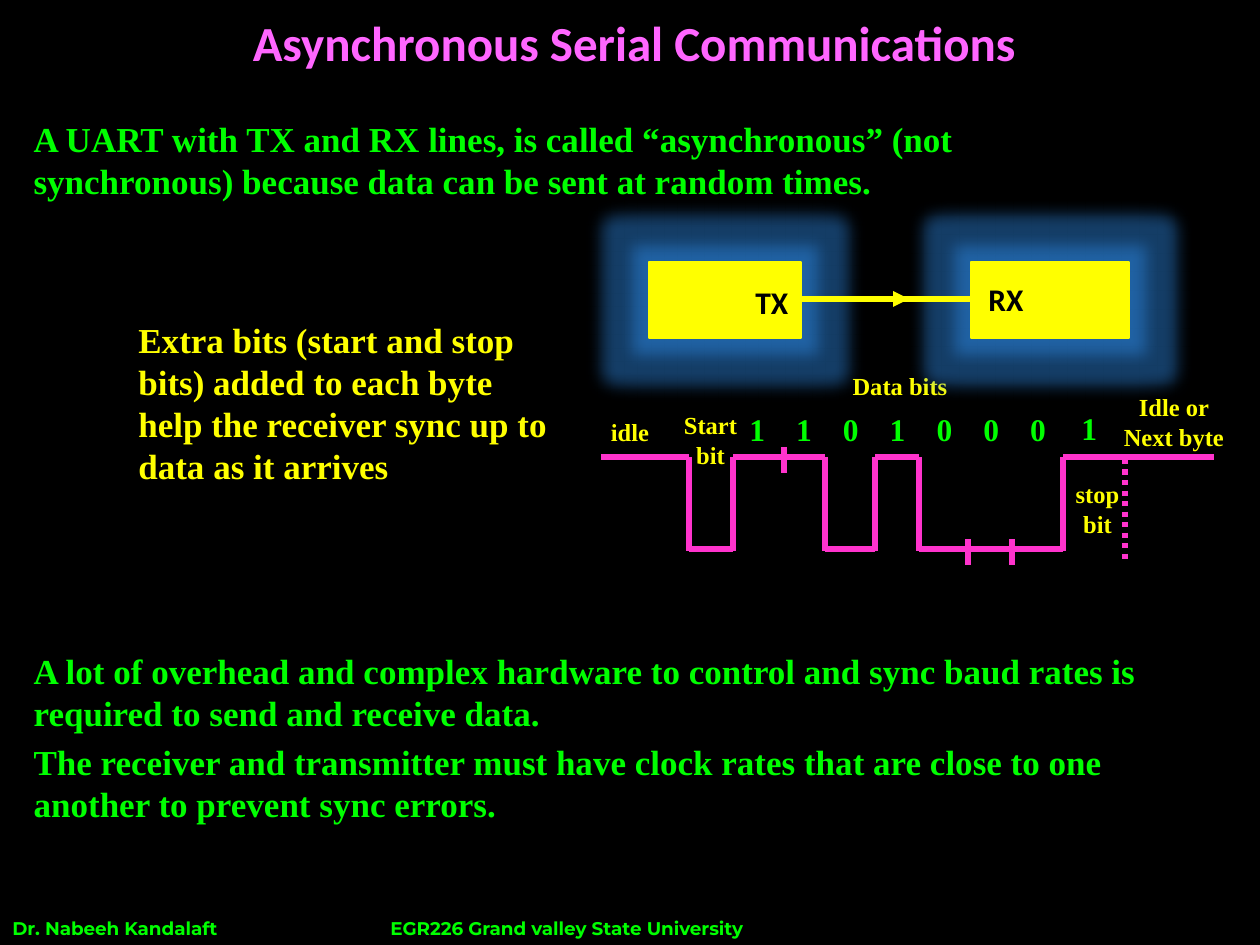
from lxml import etree
from pptx import Presentation
from pptx.dml.color import RGBColor
from pptx.enum.dml import MSO_LINE
from pptx.enum.shapes import MSO_CONNECTOR, MSO_SHAPE
from pptx.enum.text import MSO_ANCHOR, MSO_AUTO_SIZE, PP_ALIGN
from pptx.oxml.ns import qn
from pptx.util import Emu, Pt

SCALE = 914400 / 126
STRAIGHT, RECTANGLE = MSO_CONNECTOR.STRAIGHT, MSO_SHAPE.RECTANGLE
LEFT, CENTER = PP_ALIGN.LEFT, PP_ALIGN.CENTER
TOP, MIDDLE = MSO_ANCHOR.TOP, MSO_ANCHOR.MIDDLE
DOTTED = MSO_LINE.ROUND_DOT
COLORS = {"black": "000000", "pink": "FF66FF", "green": "00FF00",
          "yellow": "FFFF00", "signal": "FF33CC", "glow": "3399FF"}
SERIF = "Times New Roman"
TITLE = {"name": "Calibri", "size": Pt(28), "bold": True}
BODY = {"name": SERIF, "size": Pt(20), "bold": True}
BIT = {"name": SERIF, "size": Pt(18), "bold": True}
LABEL = {"name": SERIF, "size": Pt(14), "bold": True}
PIN = {"name": "Calibri", "size": Pt(18), "bold": True}
FOOTER = {"name": "Montserrat", "size": Pt(10.5), "bold": True}


def px(value):
    return Emu(round(value * SCALE))


def color(name):
    return RGBColor.from_string(COLORS[name])


def place(shape, box):
    for name, value in zip(("left", "top", "width", "height"), box):
        setattr(shape, name, px(value))


def write(shape, lines, style, color_name, align=LEFT, anchor=TOP, wrap=True):
    frame = shape.text_frame
    frame.text = "\n".join(lines)
    frame.word_wrap, frame.auto_size = wrap, MSO_AUTO_SIZE.NONE
    frame.vertical_anchor = anchor
    for paragraph in frame.paragraphs:
        paragraph.alignment = align
        for name, value in style.items():
            setattr(paragraph.font, name, value)
        paragraph.font.color.rgb = color(color_name)
    return frame


def add_text(slide, box, lines, style, color_name, **options):
    shape = slide.shapes.add_textbox(*map(px, box))
    write(shape, lines, style, color_name, **options)


def add_line(slide, start, end, color_name):
    connector = slide.shapes.add_connector(STRAIGHT, *map(px, start + end))
    connector.line.color.rgb = color(color_name)
    connector.line.width = Pt(3)
    etree.SubElement(connector._element.spPr, qn("a:effectLst"))
    return connector


def add_title(slide, box):
    place(slide.shapes.title, box)
    write(slide.shapes.title, ["Asynchronous Serial Communications"],
          TITLE, "pink", align=CENTER, anchor=MIDDLE)


def add_body(slide, box):
    body = slide.placeholders[1]
    place(body, box)
    frame = write(body, [
        "A UART with TX and RX lines, is called “asynchronous” (not synchronous) "
        "because data can be sent at random times.",
        "A lot of overhead and complex hardware to control and sync baud rates "
        "is required to send and receive data.",
        "The receiver and transmitter must have clock rates that are close to "
        "one another to prevent sync errors."], BODY, "green")
    # The wide gap before the second paragraph leaves room for the diagram
    for paragraph, gap in zip(frame.paragraphs, (0, 256, 4)):
        paragraph.space_before = Pt(gap)
        properties = paragraph._p.get_or_add_pPr()
        properties.set("marL", "0")
        properties.set("indent", "0")
        bullet = etree.Element(qn("a:buNone"))
        properties.find(qn("a:defRPr")).addprevious(bullet)


def add_footer(slide, box):
    bar = slide.shapes.add_shape(RECTANGLE, *map(px, box))
    bar.shadow.inherit = False
    bar.fill.solid()
    bar.fill.fore_color.rgb = color("black")
    bar.line.fill.background()
    frame = write(bar, ["Dr. Nabeeh Kandalaft\tEGR226 Grand valley State University"],
                  FOOTER, "green")
    properties = frame.paragraphs[0]._p.get_or_add_pPr()
    tabs = etree.Element(qn("a:tabLst"))
    etree.SubElement(tabs, qn("a:tab"), pos=str(px(378)), algn="l")
    properties.find(qn("a:defRPr")).addprevious(tabs)


def add_device(slide, box):
    device = slide.shapes.add_shape(RECTANGLE, *map(px, box))
    device.shadow.inherit = False
    device.fill.solid()
    device.fill.fore_color.rgb = color("yellow")
    device.line.color.rgb = color("yellow")
    device.line.width = Pt(0.75)
    effects = device._element.spPr.find(qn("a:effectLst"))
    glow = etree.SubElement(effects, qn("a:glow"), rad=str(px(32)))
    tint = etree.SubElement(glow, qn("a:srgbClr"), val=COLORS["glow"])
    etree.SubElement(tint, qn("a:alpha"), val="40000")


def add_link(slide, box):
    left, top, width, height = box
    # Transmitter and receiver
    add_device(slide, (left + width - 158, top, 158, height))
    add_device(slide, (left, top, 152, height))
    # Wire with the arrowhead near its middle
    wire = top + 37
    arrow = add_line(slide, (left + 152, wire), (left + 260, wire), "yellow")
    etree.SubElement(arrow.line._get_or_add_ln(), qn("a:tailEnd"), type="triangle")
    add_line(slide, (left + 252, wire), (left + width - 158, wire), "yellow")
    # Pin names
    for name, x, y in (("TX", 94, 15), ("RX", 327, 12)):
        add_text(slide, (left + x, top + y, 60, 50), [name], PIN, "black", wrap=False)


def add_waveform(slide, box):
    left, top, width, height = box
    high, low = top + 92, top + 184
    # Level of the line between each pair of edges
    edges = [left + x for x in (0, 88, 132, 224, 274, 318, 462, 510, width)]
    levels = (high, low, high, low, high, low, high, high)
    for start, end, level in zip(edges, edges[1:], levels):
        add_line(slide, (start, level), (end, level), "signal")
    for edge, before, after in zip(edges[1:], levels, levels[1:]):
        if before != after:
            add_line(slide, (edge, high), (edge, low + 2), "signal")
    # Ticks between equal bits, and the end of the stop bit
    for x, level in ((183, high + 3), (367, low + 3), (411, low + 3)):
        add_line(slide, (left + x, level - 13), (left + x, level + 13), "signal")
    stop = add_line(slide, (left + 524, high + 2), (left + 524, top + height), "signal")
    stop.line.dash_style = DOTTED
    # Data bits, evenly spaced, the last one set apart
    for index, bit in enumerate("11010001"):
        x, y = (468, 38) if index == 7 else (136 + 46.8 * index, 39)
        add_text(slide, (left + x, top + y, 36, 50), [bit], BIT, "green", wrap=False)
    # Labels
    for lines, x, y, w, h in ((["Start", "bit"], 70, 39, 79, 72),
                              (["Data bits"], 205, 0, 188, 43),
                              (["stop", "bit"], 462, 108, 69, 72),
                              (["idle"], -3, 46, 64, 43),
                              (["Idle or", "Next byte"], 510, 21, 126, 72)):
        add_text(slide, (left + x, top + y, w, h), lines, LABEL, "yellow",
                 align=CENTER, wrap=False)


def main():
    presentation = Presentation()
    presentation.slide_width, presentation.slide_height = px(1260), px(945)
    slide = presentation.slides.add_slide(presentation.slide_layouts[1])
    slide.background.fill.solid()
    slide.background.fill.fore_color.rgb = color("black")

    add_title(slide, (4, 6, 1260, 72))
    add_footer(slide, (0, 911, 1260, 35))
    add_body(slide, (21, 111, 1134, 718))
    add_text(slide, (126, 312, 441, 183),
             ["Extra bits (start and stop bits) added to each byte help the "
              "receiver sync up to data as it arrives"], BODY, "yellow")
    add_waveform(slide, (601, 365, 613, 194))
    add_link(slide, (649, 262, 480, 76))
    presentation.save("out.pptx")


if __name__ == "__main__":
    main()
